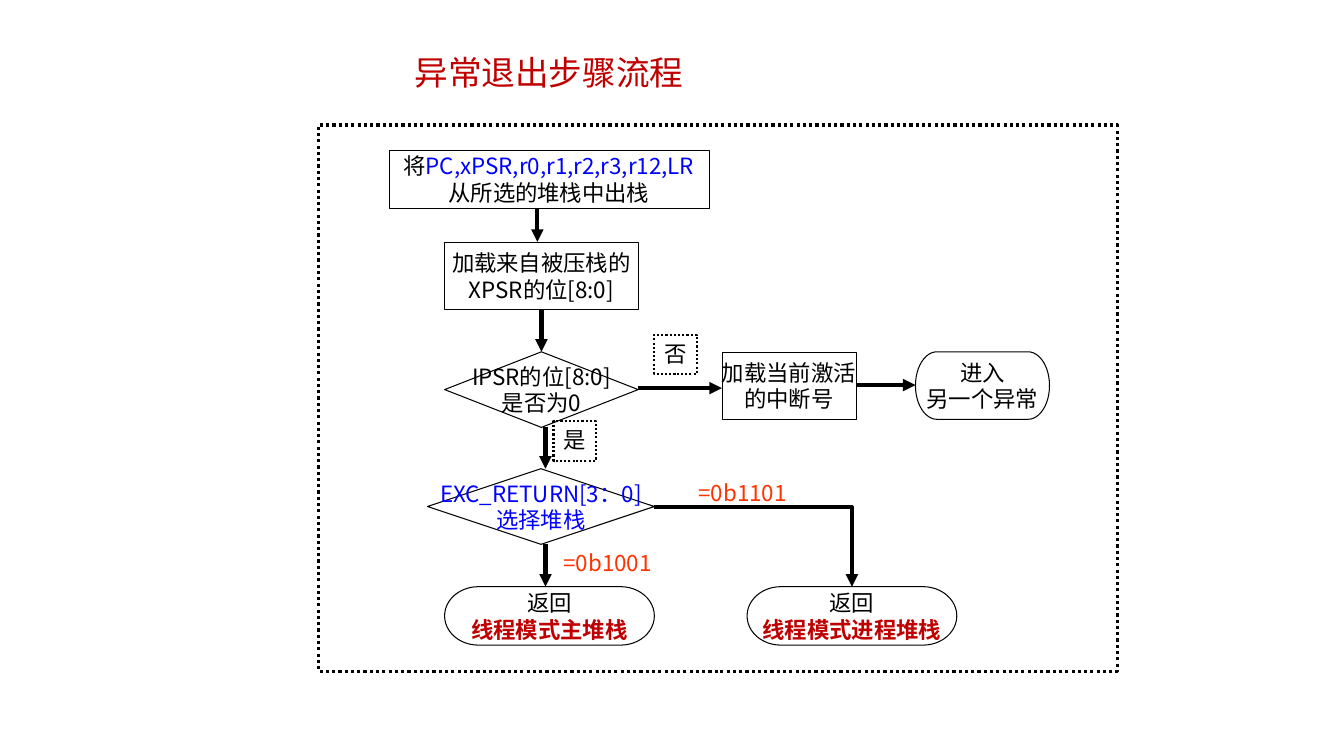
from dataclasses import dataclass

from lxml import etree
from pptx import Presentation
from pptx import util as u
from pptx.dml.color import RGBColor
from pptx.enum import dml, shapes, text
from pptx.oxml import ns

BLACK, BLUE, RED, ORANGE = "000000", "0000FF", "C00000", "FF3300"
SANS, LABEL = "Noto Sans CJK SC", "Noto Sans CJK JP"
KIND = shapes.MSO_SHAPE
TASK, TEST, END = (KIND.FLOWCHART_PROCESS, KIND.FLOWCHART_DECISION,
                   KIND.FLOWCHART_TERMINATOR)
LEFT, MID = text.PP_ALIGN.LEFT, text.PP_ALIGN.CENTER


@dataclass
class Run:
    words: str
    hue: str = BLACK
    bold: bool = False


@dataclass
class Node:
    kind: int
    place: tuple
    width: float
    lines: list


@dataclass
class Note:
    place: tuple
    words: str
    hue: str = BLACK
    framed: bool = False


@dataclass
class Arrow:
    start: tuple
    end: tuple
    bent: bool = False


NODES = [
    Node(TASK, (3.86, 1.49, 3.17, 0.58), 0.25,
         [[Run("将"), Run("PC,xPSR,r0,r1,r2,r3,r12,LR", BLUE)],
          [Run("从所选的堆栈中出栈")]]),
    Node(TASK, (4.41, 2.4, 1.92, 0.67), 0.25,
         [[Run("加载来自被压栈的")], [Run("XPSR的位[8:0]")]]),
    Node(TEST, (4.41, 3.49, 1.92, 0.75), 0.75,
         [[Run("IPSR的位[8:0]")], [Run("是否为0")]]),
    Node(TASK, (7.16, 3.49, 1.33, 0.67), 0.25,
         [[Run("加载当前激活")], [Run("的中断号")]]),
    Node(END, (9.08, 3.49, 1.33, 0.67), 0.75,
         [[Run("进入")], [Run("另一个异常")]]),
    Node(TEST, (4.24, 4.65, 2.25, 0.75), 0.75,
         [[Run("EXC_RETURN[3：0]", BLUE)], [Run("选择堆栈", BLUE)]]),
    Node(END, (4.41, 5.82, 2.08, 0.58), 0.75,
         [[Run("返回")], [Run("线程模式主堆栈", RED, True)]]),
    Node(END, (7.41, 5.82, 2.08, 0.58), 0.75,
         [[Run("返回")], [Run("线程模式进程堆栈", RED, True)]]),
]

NOTES = [
    Note((6.49, 3.32, 0.42, 0.39), "否", framed=True),
    Note((5.49, 4.18, 0.42, 0.39), "是", framed=True),
    Note((5.49, 5.4, 1.17, 0.37), "=0b1001", ORANGE),
    Note((6.83, 4.7, 1.17, 0.37), "=0b1101", ORANGE),
]

ARROWS = [
    Arrow((5.33, 2.07), (5.33, 2.4)),
    Arrow((5.37, 3.07), (5.37, 3.49)),
    Arrow((5.41, 4.24), (5.41, 4.65)),
    Arrow((5.41, 5.4), (5.41, 5.82)),
    Arrow((6.33, 3.85), (7.16, 3.85)),
    Arrow((8.49, 3.82), (9.08, 3.82)),
    Arrow((6.49, 5.03), (8.45, 5.82), bent=True),
]


def inches(sizes: tuple) -> list:
    return [u.Inches(size) for size in sizes]


def tint(form, hue: str) -> None:
    form.rgb = RGBColor.from_string(hue)


def write(frame, lines: list, align: int, face: str, size: int) -> None:
    for index, runs in enumerate(lines):
        para = frame.add_paragraph() if index else frame.paragraphs[0]
        para.alignment = align
        props = para._p.get_or_add_pPr()
        props.set("marL", str(u.Inches(0.38)))
        props.set("indent", str(u.Inches(-0.38)))
        for item in runs:
            run = para.add_run()
            run.text = item.words
            run.font.size = u.Pt(size)
            run.font.bold = item.bold
            run.font.name = face
            tint(run.font.color, item.hue)
            east = etree.SubElement(run._r.get_or_add_rPr(), ns.qn("a:ea"))
            east.set("typeface", face)


def draw_shape(slide, kind: int, place: tuple, width: float, dotted: bool = False):
    shape = slide.shapes.add_shape(kind, *inches(place))
    shape.shadow.inherit = False
    shape.fill.background()
    tint(shape.line.color, BLACK)
    shape.line.width = u.Pt(width)
    if dotted:
        shape.line.dash_style = dml.MSO_LINE.ROUND_DOT
    return shape


def draw_node(slide, node: Node) -> None:
    frame = draw_shape(slide, node.kind, node.place, node.width).text_frame
    frame.word_wrap = False
    frame.vertical_anchor = text.MSO_ANCHOR.MIDDLE
    write(frame, node.lines, MID, SANS, 16)


def draw_note(slide, note: Note) -> None:
    if note.framed:
        box = draw_shape(slide, KIND.RECTANGLE, note.place, 1.5, True)
    else:
        box = slide.shapes.add_textbox(*inches(note.place))
    frame = box.text_frame
    frame.word_wrap = True
    frame.auto_size = text.MSO_AUTO_SIZE.SHAPE_TO_FIT_TEXT
    frame.vertical_anchor = text.MSO_ANCHOR.TOP
    write(frame, [[Run(note.words, note.hue)]], LEFT, LABEL, 16)


def draw_arrow(slide, arrow: Arrow) -> None:
    kind = shapes.MSO_CONNECTOR.ELBOW if arrow.bent else shapes.MSO_CONNECTOR.STRAIGHT
    link = slide.shapes.add_connector(kind, *inches(arrow.start + arrow.end))
    tint(link.line.color, BLACK)
    link.line.width = u.Pt(3)
    props = link._element.spPr
    if arrow.bent:
        props.find(ns.qn("a:prstGeom")).set("prst", "bentConnector2")
    head = etree.SubElement(props.find(ns.qn("a:ln")), ns.qn("a:tailEnd"))
    head.set("type", "triangle")
    etree.SubElement(props, ns.qn("a:effectLst"))


def draw_title(slide) -> None:
    title = slide.shapes.title
    title.left, title.top, title.width, title.height = inches((3.86, 0.46, 3.17, 0.5))
    frame = title.text_frame
    frame.word_wrap = True
    frame.auto_size = text.MSO_AUTO_SIZE.SHAPE_TO_FIT_TEXT
    frame.vertical_anchor = text.MSO_ANCHOR.TOP
    write(frame, [[Run("异常退出步骤流程", RED)]], MID, LABEL, 24)


def main() -> None:
    deck = Presentation()
    deck.slide_width, deck.slide_height = inches((13.33, 7.5))
    slide = deck.slides.add_slide(deck.slide_layouts[5])
    draw_title(slide)
    draw_shape(slide, KIND.RECTANGLE, (3.16, 1.24, 7.92, 5.42), 2.25, True)
    for node in NODES:
        draw_node(slide, node)
    for arrow in ARROWS:
        draw_arrow(slide, arrow)
    for note in NOTES:
        draw_note(slide, note)
    deck.save("out.pptx")


if __name__ == "__main__":
    main()
